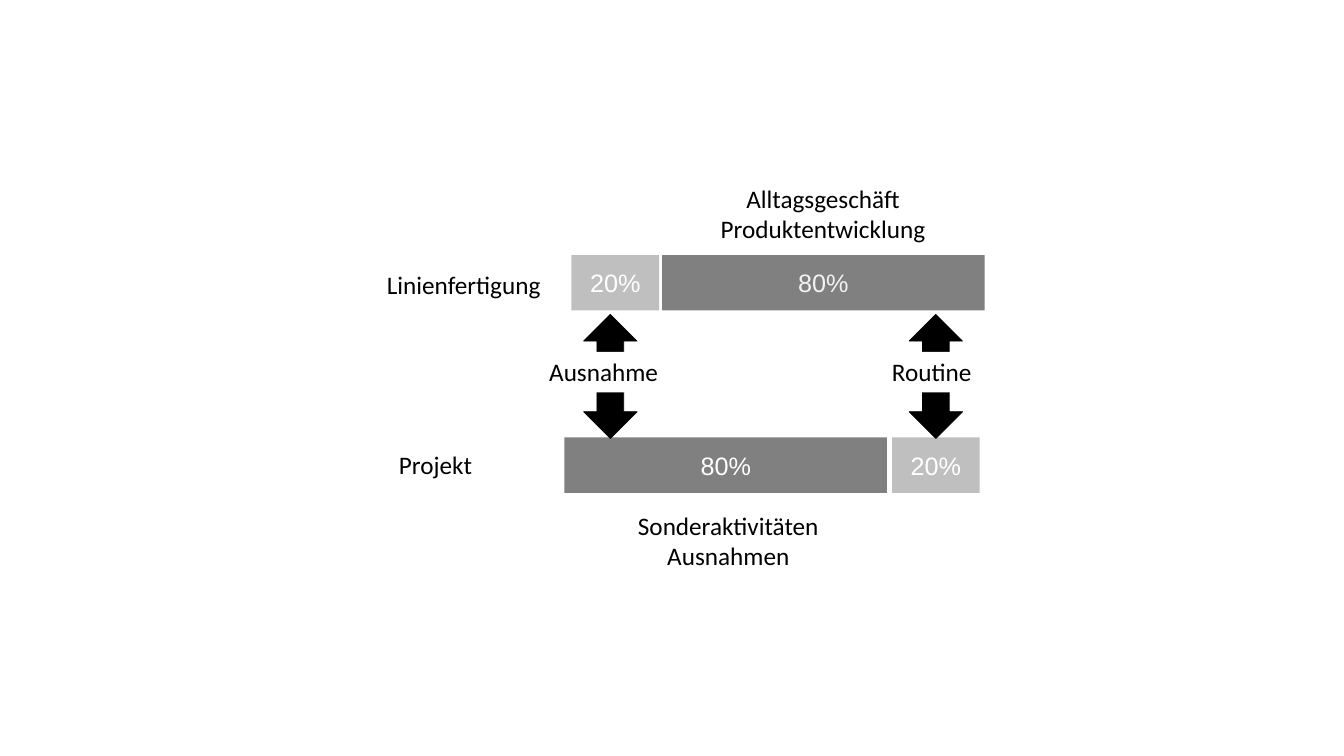
import pptx
import pptx.dml.color
import pptx.enum.shapes
import pptx.enum.text
import pptx.util

Pt = pptx.util.Pt
SHAPE = pptx.enum.shapes.MSO_SHAPE
ALIGN = pptx.enum.text.PP_ALIGN
ANCHOR = pptx.enum.text.MSO_ANCHOR
AUTO_SIZE = pptx.enum.text.MSO_AUTO_SIZE

COLORS = {
    "major": "808080",
    "minor": "BFBFBF",
    "white": "FFFFFF",
    "pale": "F2F2F2",
    "black": "000000",
}
MAJOR_WIDTH, MINOR_WIDTH, BAR_HEIGHT = 230.4, 62.6, 39.6
LINE_TOP, PROJECT_TOP = 182.2, 312.5
ARROW_TOP, ARROW_WIDTH, ARROW_HEIGHT = 224.6, 38.2, 88.6
LABEL_HEIGHT, CAPTION_HEIGHT, ARROW_LABEL_TOP = 29, 51, 251.3


def rgb(name):
    """Return the named color."""
    return pptx.dml.color.RGBColor.from_string(COLORS[name])


def add_box(shapes, kind, left, top, width, height, fill):
    """Add a filled shape without outline or shadow."""
    box = shapes.add_shape(kind, Pt(left), Pt(top), Pt(width), Pt(height))
    box.shadow.inherit = False
    box.fill.solid()
    box.fill.fore_color.rgb = rgb(fill)
    box.line.fill.background()
    return box


def add_text(box, paragraphs, font, color, align):
    """Write paragraphs, each a list of lines, into a box."""
    frame = box.text_frame
    for index, lines in enumerate(paragraphs):
        para = frame.paragraphs[0] if index == 0 else frame.add_paragraph()
        para.alignment = align
        for number, line in enumerate(lines):
            if number:
                para.add_line_break()
            span = para.add_run()
            span.text = line
            span.font.name = font
            span.font.size = Pt(18)
            span.font.color.rgb = rgb(color)


def add_share(shapes, left, top, share, color="white"):
    """Add one bar segment, wide for 80% and narrow for 20%."""
    width, fill = (MAJOR_WIDTH, "major") if share == "80%" else (MINOR_WIDTH, "minor")
    box = add_box(shapes, SHAPE.RECTANGLE, left, top, width, BAR_HEIGHT, fill)
    box.text_frame.vertical_anchor = ANCHOR.MIDDLE
    add_text(box, [[share]], "Arial", color, ALIGN.CENTER)


def add_arrow(shapes, left):
    """Add a double arrow between the two bars."""
    arrow = add_box(shapes, SHAPE.UP_DOWN_ARROW, left, ARROW_TOP,
                    ARROW_WIDTH, ARROW_HEIGHT, "black")
    arrow.line.color.rgb = rgb("black")
    arrow.line.width = Pt(0.5)


def add_label(shapes, left, top, width, paragraphs, height=LABEL_HEIGHT, align=ALIGN.LEFT):
    """Add a label on a white ground."""
    box = add_box(shapes, SHAPE.RECTANGLE, left, top, width, height, "white")
    frame = box.text_frame
    frame.word_wrap = False
    frame.auto_size = AUTO_SIZE.SHAPE_TO_FIT_TEXT
    frame.vertical_anchor = ANCHOR.TOP
    add_text(box, paragraphs, "Calibri", "black", align)


def main():
    """Build the slide and save it."""
    deck = pptx.Presentation()
    deck.slide_width, deck.slide_height = Pt(960), Pt(540)
    page = deck.slides.add_slide(deck.slide_layouts[6])
    shapes = page.shapes.add_group_shape().shapes

    add_share(shapes, 473, LINE_TOP, "80%", "pale")
    add_share(shapes, 408.2, LINE_TOP, "20%")
    add_share(shapes, 403.2, PROJECT_TOP, "80%")
    add_share(shapes, 637.2, PROJECT_TOP, "20%")

    for left in (649.4, 416.9):
        add_arrow(shapes, left)

    add_label(shapes, 385.2, ARROW_LABEL_TOP, 101.5, [["Ausnahme"]])
    add_label(shapes, 630, ARROW_LABEL_TOP, 77, [["Routine"]])
    add_label(shapes, 269.3, 188.6, 133.9, [["Linienfertigung"]])
    add_label(shapes, 277.9, 317.5, 71.3, [["Projekt"]])
    add_label(shapes, 506.9, 127.4, 162, [["Alltagsgeschäft", "Produktentwicklung"]],
              CAPTION_HEIGHT, ALIGN.CENTER)
    add_label(shapes, 442.8, 360.7, 154.8, [["Sonderaktivitäten"], ["Ausnahmen"]],
              CAPTION_HEIGHT, ALIGN.CENTER)

    deck.save("out.pptx")


if __name__ == "__main__":
    main()
